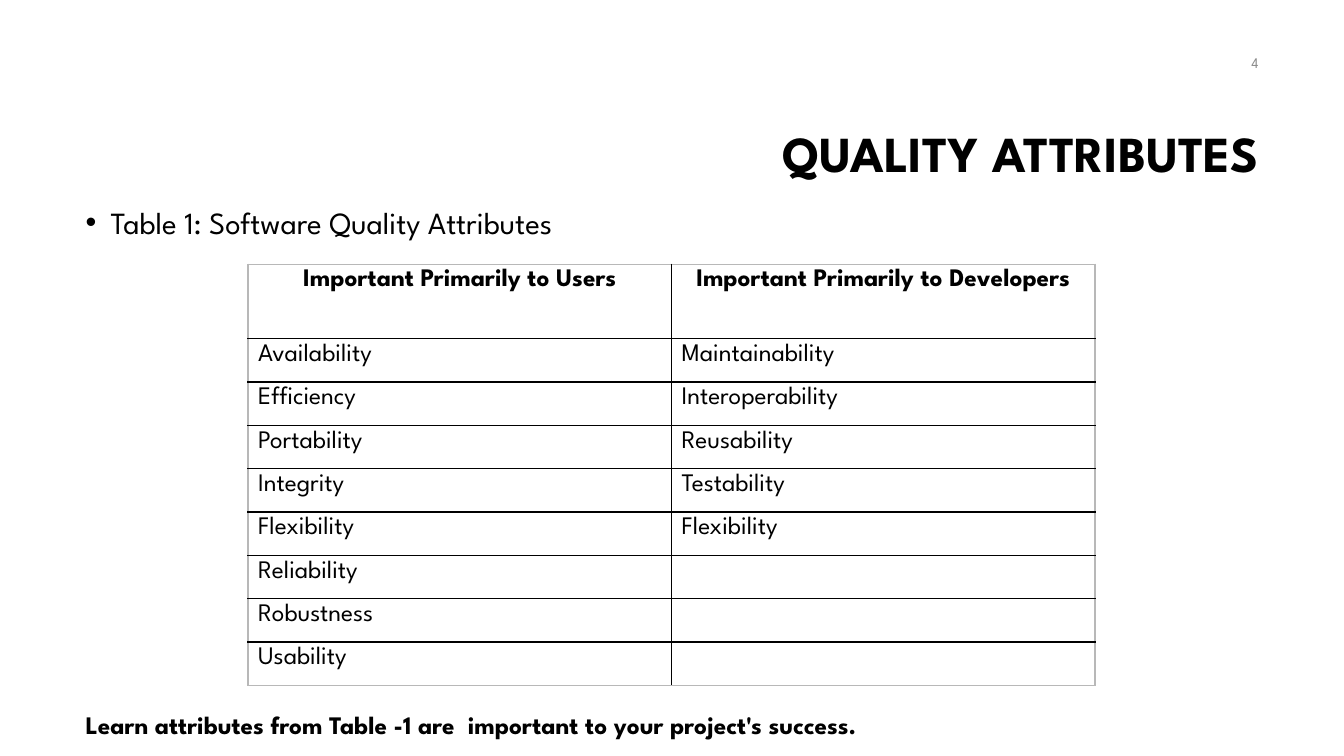
from itertools import zip_longest
from lxml import etree
from pptx import Presentation
from pptx import util as u
from pptx.dml.color import RGBColor
from pptx.enum import text
from pptx.oxml import ns

TITLE = "QUALITY ATTRIBUTES"
CAPTION = "Table 1: Software Quality Attributes"
PAGE_NUMBER = "4"
ADVICE = "Learn attributes from Table -1 are  important to your project's success."
ATTRIBUTES = {
    "Important Primarily to Users": [
        "Availability", "Efficiency", "Portability", "Integrity",
        "Flexibility", "Reliability", "Robustness", "Usability",
    ],
    "Important Primarily to Developers": [
        "Maintainability", "Interoperability", "Reusability",
        "Testability", "Flexibility",
    ],
}

FONT = "League Spartan"
BLACK = RGBColor(0x00, 0x00, 0x00)
GREY = RGBColor(0x8C, 0x8C, 0x8C)
FRAME = RGBColor(0xB8, 0xB8, 0xB8)
WHITE = RGBColor(0xFF, 0xFF, 0xFF)
LEFT, CENTER, RIGHT = text.PP_ALIGN.LEFT, text.PP_ALIGN.CENTER, text.PP_ALIGN.RIGHT
TOP, MIDDLE = text.MSO_ANCHOR.TOP, text.MSO_ANCHOR.MIDDLE


def write(paragraph, words, size, color=BLACK, bold=False, align=LEFT):
    paragraph.alignment = align
    run = paragraph.add_run()
    run.text = words
    run.font.name = FONT
    run.font.size = u.Pt(size)
    run.font.bold = bold
    run.font.color.rgb = color


def add_text(slide, place, words, size, anchor=TOP, **style):
    frame = slide.shapes.add_textbox(*map(u.Inches, place)).text_frame
    frame.word_wrap = True
    frame.vertical_anchor = anchor
    paragraph = frame.paragraphs[0]
    write(paragraph, words, size, **style)
    return paragraph


def add_bullet(paragraph):
    properties = paragraph._p.get_or_add_pPr()
    properties.set("marL", str(u.Inches(0.25)))
    properties.set("indent", str(u.Inches(-0.25)))
    etree.SubElement(properties, ns.qn("a:buFont")).set("typeface", "Arial")
    etree.SubElement(properties, ns.qn("a:buChar")).set("char", "•")


def add_borders(cell, colors):
    properties = cell._tc.get_or_add_tcPr()
    for order, (side, color) in enumerate(zip("LRTB", colors)):
        line = etree.Element(ns.qn("a:ln" + side), w=str(u.Pt(1)))
        fill = etree.SubElement(line, ns.qn("a:solidFill"))
        etree.SubElement(fill, ns.qn("a:srgbClr")).set("val", str(color))
        properties.insert(order, line)


def add_attribute_table(slide):
    rows = [tuple(ATTRIBUTES), *zip_longest(*ATTRIBUTES.values(), fillvalue="")]
    last_row, last_column = len(rows) - 1, len(ATTRIBUTES) - 1
    place = (2.46, 2.62, 8.4, 4.18)
    table = slide.shapes.add_table(
        len(rows), len(ATTRIBUTES), *map(u.Inches, place)).table
    table.first_row = table.horz_banding = False
    for column in table.columns:
        column.width = u.Inches(4.2)
    for r, row in enumerate(rows):
        header = r == 0
        table.rows[r].height = u.Inches(0.74 if header else 0.43)
        for c, words in enumerate(row):
            cell = table.cell(r, c)
            cell.fill.solid()
            cell.fill.fore_color.rgb = WHITE
            outer = (c == 0, c == last_column, header, r == last_row)
            add_borders(cell, [FRAME if edge else BLACK for edge in outer])
            if words:
                write(cell.text_frame.paragraphs[0], words, 18,
                      bold=header, align=CENTER if header else LEFT)


def main():
    deck = Presentation()
    deck.slide_width, deck.slide_height = u.Inches(13.33), u.Inches(7.5)
    slide = deck.slides.add_slide(deck.slide_layouts[6])

    title = add_text(slide, (3.17, 0.84, 9.42, 1.41), TITLE, 36,
                     anchor=MIDDLE, bold=True, align=RIGHT)
    title.line_spacing = 0.9

    caption = add_text(slide, (0.75, 2.01, 11.83, 4.79), CAPTION, 22)
    caption.line_spacing = 0.9
    caption.space_before = u.Pt(10)
    add_bullet(caption)

    add_attribute_table(slide)
    add_text(slide, (9.58, 0.42, 3, 0.4), PAGE_NUMBER, 10.5,
             anchor=MIDDLE, color=GREY, align=RIGHT)
    add_text(slide, (0.75, 6.99, 12.09, 0.4), ADVICE, 18, bold=True)
    deck.save("out.pptx")


if __name__ == "__main__":
    main()
